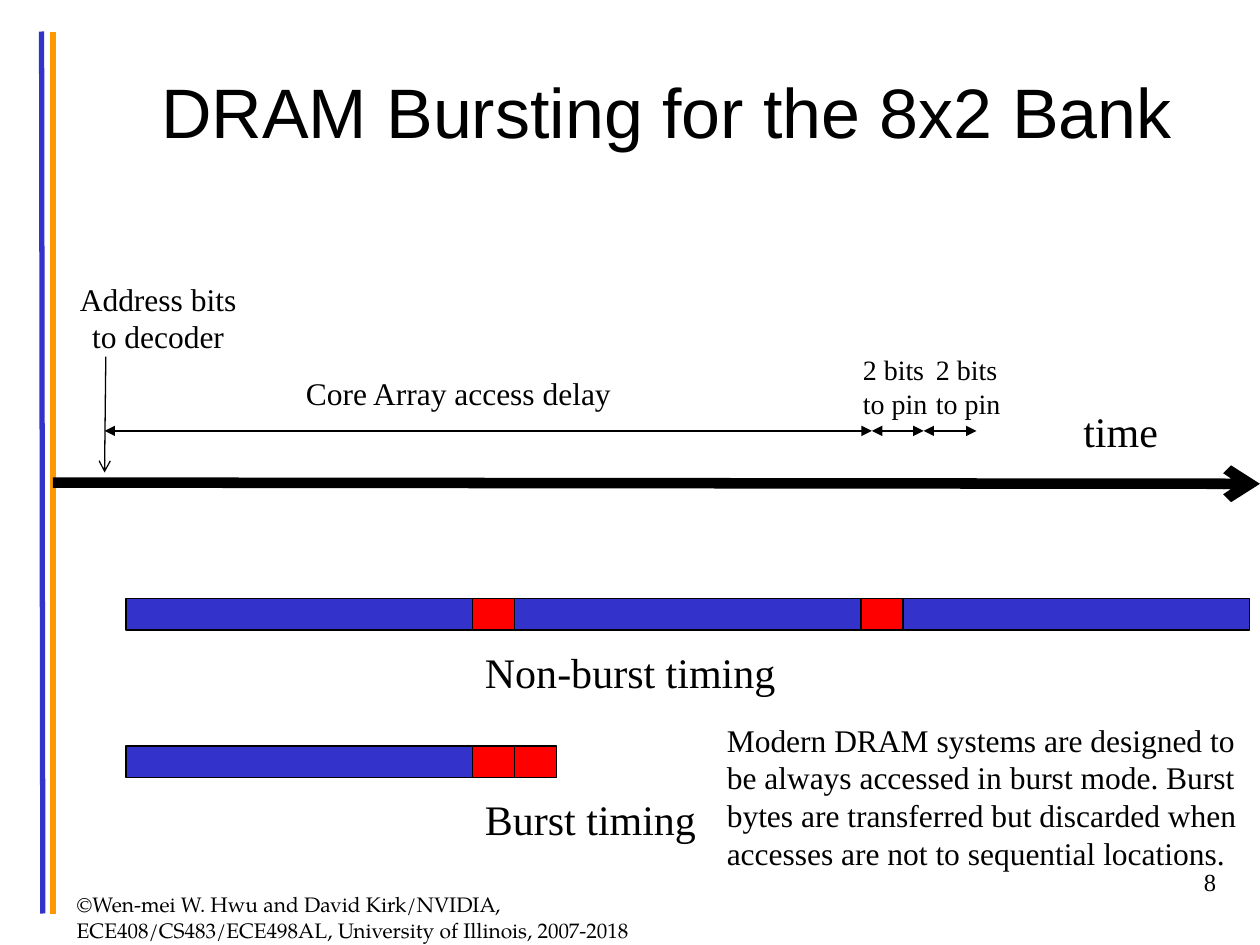
from lxml import etree
from pptx import Presentation
from pptx.dml.color import RGBColor
from pptx.enum.shapes import MSO_CONNECTOR, MSO_SHAPE
from pptx.enum.text import MSO_ANCHOR, MSO_AUTO_SIZE, PP_ALIGN
from pptx.oxml.ns import qn
from pptx.util import Inches, Pt

STRAIGHT = MSO_CONNECTOR.STRAIGHT
RECTANGLE = MSO_SHAPE.RECTANGLE
MIDDLE = MSO_ANCHOR.MIDDLE
NO_AUTOFIT = MSO_AUTO_SIZE.NONE
LEFT, CENTER, RIGHT = PP_ALIGN.LEFT, PP_ALIGN.CENTER, PP_ALIGN.RIGHT

BLACK = RGBColor(0x00, 0x00, 0x00)
BLUE = RGBColor(0x33, 0x33, 0xCC)
ORANGE = RGBColor(0xFF, 0x99, 0x00)
RED = RGBColor(0xFF, 0x00, 0x00)

SERIF = "Times New Roman"
BAR_LEFT = 1
BAR_HEIGHT = 0.25
ACCESS_WIDTH = 2.75
TRANSFER_WIDTH = 1 / 3


def format_text(text_frame, size, font_name, alignment):
    for paragraph in text_frame.paragraphs:
        paragraph.alignment = alignment
        for run in paragraph.runs:
            run.font.size = Pt(size)
            run.font.name = font_name
            run.font.color.rgb = BLACK


def set_title(slide, text):
    title = slide.shapes.title
    title.left, title.top = Inches(0.75), Inches(0.25)
    title.width, title.height = Inches(9.08), Inches(1.25)
    text_frame = title.text_frame
    text_frame.text = text
    text_frame.auto_size = NO_AUTOFIT
    text_frame.vertical_anchor = MIDDLE
    format_text(text_frame, 40, "Arial", CENTER)


def add_text(slide, text, left, top, width, height, size,
             alignment=LEFT, font_name=SERIF, wrap=True):
    box = slide.shapes.add_textbox(
        Inches(left), Inches(top), Inches(width), Inches(height))
    box.text_frame.text = text
    box.text_frame.word_wrap = wrap
    format_text(box.text_frame, size, font_name, alignment)


def add_line(slide, start, end, color, width, head=None, tail=None):
    connector = slide.shapes.add_connector(
        STRAIGHT, Inches(start[0]), Inches(start[1]),
        Inches(end[0]), Inches(end[1]))
    connector.line.color.rgb = color
    connector.line.width = Pt(width)
    line_element = connector.line._get_or_add_ln()
    for tag, arrow in (("a:headEnd", head), ("a:tailEnd", tail)):
        if arrow:
            etree.SubElement(line_element, qn(tag), type=arrow)
    etree.SubElement(connector._element.spPr, qn("a:effectLst"))


def add_timing_bar(slide, top, pattern):
    segments = {"access": (ACCESS_WIDTH, BLUE), "transfer": (TRANSFER_WIDTH, RED)}
    left = BAR_LEFT
    for name in pattern:
        width, color = segments[name]
        shape = slide.shapes.add_shape(
            RECTANGLE, Inches(left), Inches(top), Inches(width), Inches(BAR_HEIGHT))
        shape.shadow.inherit = False
        shape.fill.solid()
        shape.fill.fore_color.rgb = color
        shape.line.color.rgb = BLACK
        shape.line.width = Pt(0.75)
        left += width


def add_timeline(slide):
    add_line(slide, (0.42, 3.83), (10, 3.84), BLACK, 6, tail="arrow")
    add_text(slide, "time", 8.5, 3.17, 0.8, 0.51, 24, wrap=False)
    add_text(slide, "Address bits to decoder", 0.42, 2.17, 1.67, 0.71, 18, CENTER)
    add_line(slide, (0.84, 2.83), (0.83, 3.75), BLACK, 0.75, tail="arrow")
    add_text(slide, "Core Array access delay", 2.33, 2.92, 3, 0.4, 18)
    marks = (0.83, 6.92, 7.33, 7.75)
    for start, end in zip(marks, marks[1:]):
        add_line(slide, (start, 3.42), (end, 3.42), BLACK, 0.75,
                 head="triangle", tail="triangle")
    for left in (6.75, 7.33):
        add_text(slide, "2 bits\nto pin", left, 2.75, 0.72, 0.64, 16, wrap=False)


def main():
    presentation = Presentation()
    presentation.slide_width = Inches(10)
    presentation.slide_height = Inches(7.5)
    slide = presentation.slides.add_slide(presentation.slide_layouts[5])

    add_line(slide, (0.33, 0.25), (0.34, 7.25), BLUE, 3)
    add_line(slide, (0.42, 0.25), (0.42, 7.25), ORANGE, 3)
    set_title(slide, "DRAM Bursting for the 8x2 Bank")
    add_timeline(slide)

    add_timing_bar(slide, 4.75, ("access", "transfer", "access", "transfer", "access"))
    add_text(slide, "Non-burst timing", 3.75, 5.08, 4.25, 0.51, 24)
    add_timing_bar(slide, 5.92, ("access", "transfer", "transfer"))
    add_text(slide, "Burst timing", 3.75, 6.25, 1.89, 0.51, 24, wrap=False)

    add_text(slide,
             "Modern DRAM systems are designed to be always accessed in burst mode. "
             "Burst bytes are transferred but discarded when accesses are not to "
             "sequential locations.",
             5.67, 5.67, 4.33, 1.31, 18)
    add_text(slide,
             "©Wen-mei W. Hwu and David Kirk/NVIDIA, ECE408/CS483/ECE498AL, "
             "University of Illinois, 2007-2018",
             0.51, 7.03, 4.75, 0.31, 12, font_name="TeX Gyre Pagella")
    add_text(slide, "8", 7.67, 6.83, 2.08, 0.5, 14, RIGHT)

    presentation.save("out.pptx")


if __name__ == "__main__":
    main()
